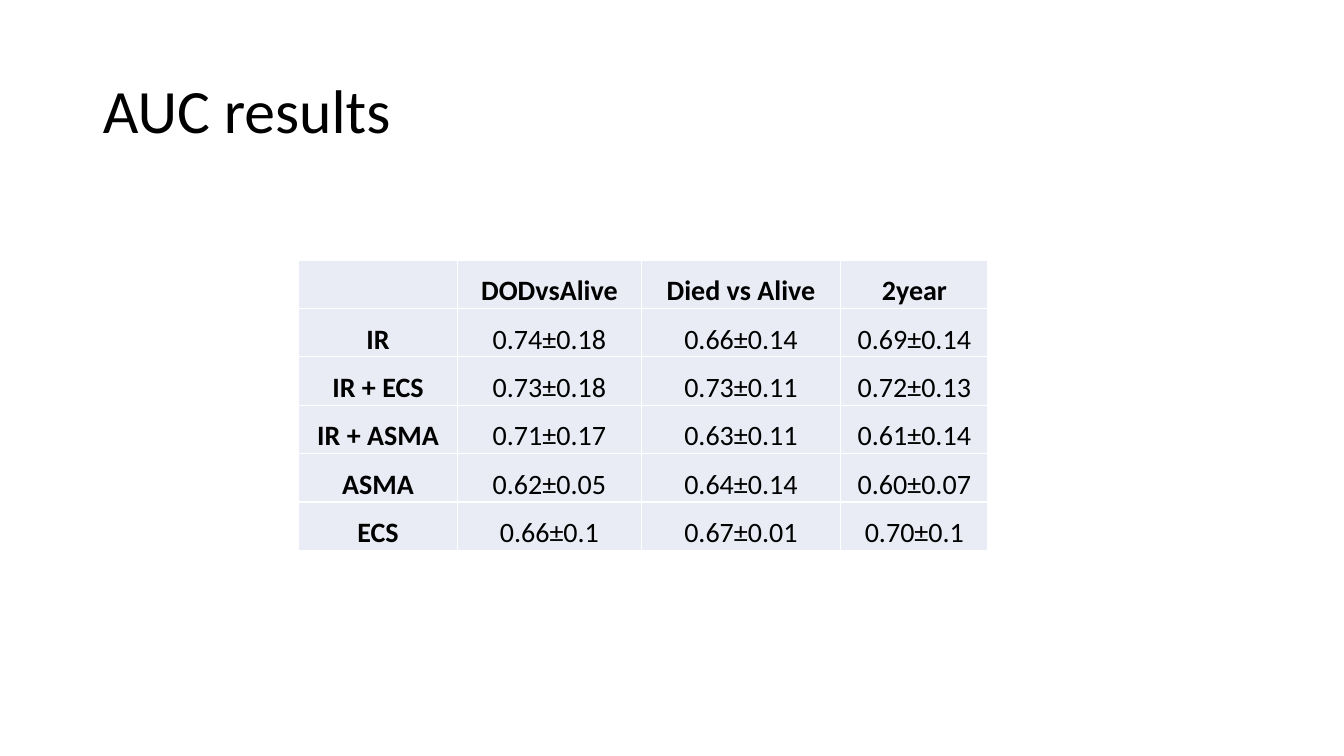
from pptx import Presentation
from pptx.dml.color import RGBColor
from pptx.enum.text import MSO_ANCHOR as Anchor, PP_ALIGN as Align
from pptx.oxml import parse_xml
from pptx.oxml.ns import nsdecls
from pptx.util import Inches, Pt

FONT = "Calibri"
TEXT, CELL_FILL, BORDER = "000000", "E9EBF5", "FFFFFF"
TITLE_BOX = (0.92, 0.4, 11.5, 1.45)
TABLE_BOX = (2.96, 2.58, 6.84, 2.88)
COLUMN_WIDTHS = (1.58, 1.82, 1.98, 1.46)
AUC_ROWS = [
    ("", "DODvsAlive", "Died vs Alive", "2year"),
    ("IR", "0.74±0.18", "0.66±0.14", "0.69±0.14"),
    ("IR + ECS", "0.73±0.18", "0.73±0.11", "0.72±0.13"),
    ("IR + ASMA", "0.71±0.17", "0.63±0.11", "0.61±0.14"),
    ("ASMA", "0.62±0.05", "0.64±0.14", "0.60±0.07"),
    ("ECS", "0.66±0.1", "0.67±0.01", "0.70±0.1"),
]


def color(hex_value):
    return RGBColor.from_string(hex_value)


def format_paragraph(paragraph, size, align, bold=False):
    paragraph.alignment = align
    font = paragraph.font
    font.name, font.size, font.bold = FONT, Pt(size), bold
    font.color.rgb = color(TEXT)


def add_borders(cell):
    """Draw 1 pt lines on all four sides; they must precede the cell's fill."""
    properties = cell._tc.get_or_add_tcPr()
    for index, side in enumerate(("lnL", "lnR", "lnT", "lnB")):
        properties.insert(index, parse_xml(
            f'<a:{side} {nsdecls("a")} w="{Pt(1)}"><a:solidFill>'
            f'<a:srgbClr val="{BORDER}"/></a:solidFill></a:{side}>'))


def place_title(slide, box):
    title = slide.shapes.title
    title.left, title.top, title.width, title.height = map(Inches, box)
    title.text_frame.text = "AUC results"
    title.text_frame.vertical_anchor = Anchor.MIDDLE
    heading = title.text_frame.paragraphs[0]
    heading.line_spacing = 0.9
    format_paragraph(heading, 44, Align.LEFT)


def fill_cell(cell, label, bold):
    cell.fill.solid()
    cell.fill.fore_color.rgb = color(CELL_FILL)
    add_borders(cell)
    cell.vertical_anchor = Anchor.BOTTOM
    cell.margin_left = cell.margin_right = cell.margin_top = Inches(0.01)
    cell.margin_bottom = 0
    cell.text = label
    format_paragraph(cell.text_frame.paragraphs[0], 20, Align.CENTER, bold)


def add_auc_table(slide, box):
    table = slide.shapes.add_table(
        len(AUC_ROWS), len(COLUMN_WIDTHS), *map(Inches, box)).table
    table.horz_banding = False
    for column, width in zip(table.columns, COLUMN_WIDTHS):
        column.width = Inches(width)
    for r, labels in enumerate(AUC_ROWS):
        for c, label in enumerate(labels):
            fill_cell(table.cell(r, c), label, bold=r == 0 or c == 0)


def main():
    presentation = Presentation()
    presentation.slide_width = Inches(13.33)
    presentation.slide_height = Inches(7.5)
    title_only = presentation.slide_layouts[5]
    slide = presentation.slides.add_slide(title_only)
    place_title(slide, TITLE_BOX)
    add_auc_table(slide, TABLE_BOX)
    presentation.save("out.pptx")


if __name__ == "__main__":
    main()
